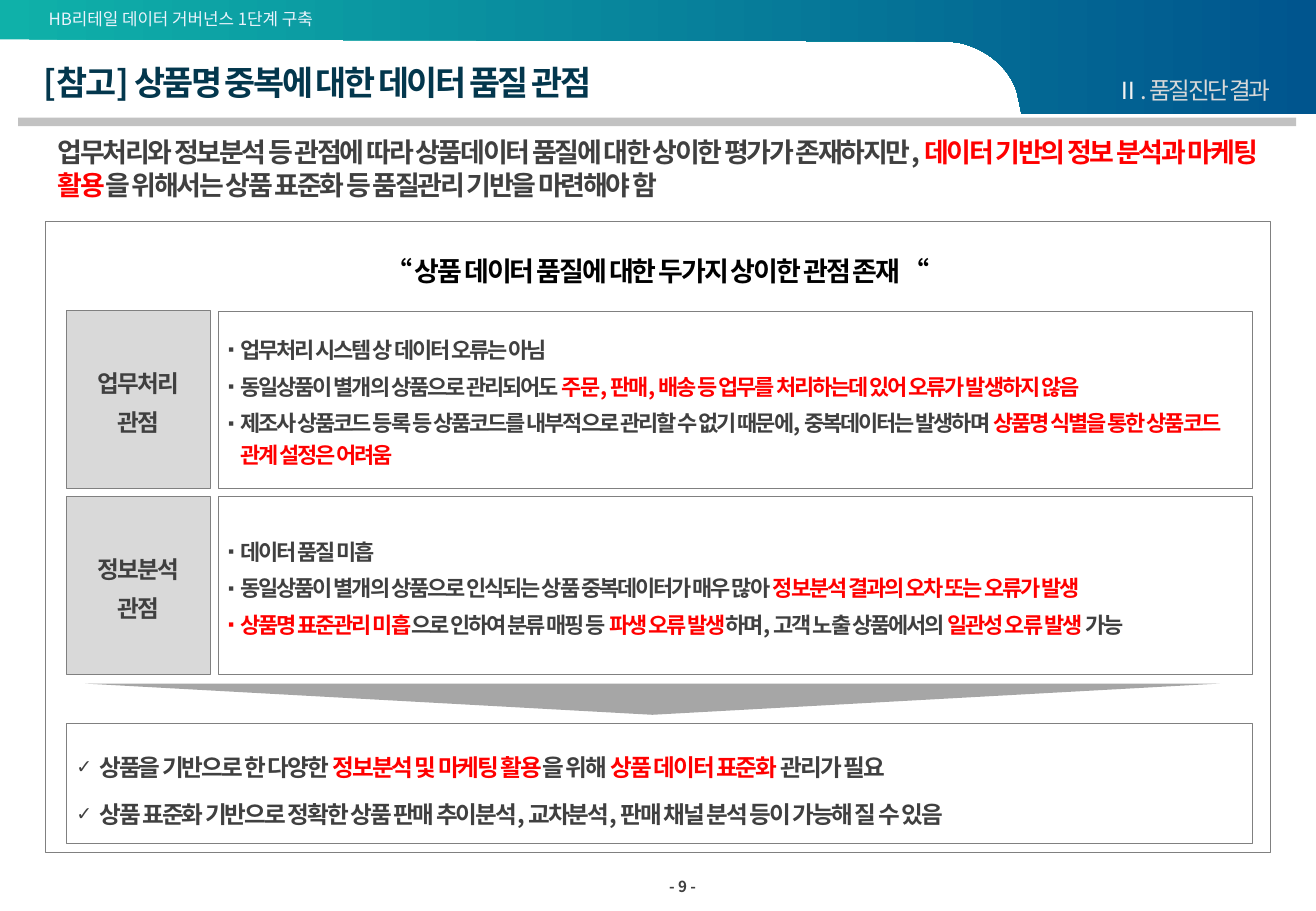
import pptx
import pptx.util
import pptx.dml.color
import pptx.enum.shapes
import pptx.enum.text
import pptx.oxml.ns
from lxml import etree

Pt = pptx.util.Pt
ALIGN = pptx.enum.text.PP_ALIGN
ANCHOR = pptx.enum.text.MSO_ANCHOR
SHAPE = pptx.enum.shapes.MSO_SHAPE
FONT = "Noto Sans CJK KR"
GRAY, RED = "404040", "FF0000"


def rgb(value):
    return pptx.dml.color.RGBColor.from_string(value)


def write(box, lines, size, color=GRAY, accent=RED, bold=True, tracking=0, align=ALIGN.LEFT,
          anchor=ANCHOR.MIDDLE, insets=(5.8, 2.9), spacing=1.0, gap=0, bullet=None, indent=0):
    """Fill a box with paragraphs; text between asterisks takes the accent colour."""
    frame = box.text_frame
    frame.word_wrap = True
    frame.auto_size = pptx.enum.text.MSO_AUTO_SIZE.NONE
    frame.vertical_anchor = anchor
    frame.margin_left = frame.margin_right = Pt(insets[0])
    frame.margin_top = frame.margin_bottom = Pt(insets[1])
    for number, line in enumerate(lines):
        para = frame.add_paragraph() if number else frame.paragraphs[0]
        para.alignment = align
        para.line_spacing = spacing
        para.space_before = Pt(gap if number else 0)
        properties = para._p.get_or_add_pPr()
        if bullet:
            properties.set("marL", str(Pt(indent)))
            properties.set("indent", str(-Pt(indent)))
            for tag, name, value in (("a:buSzPct", "val", "80000"), ("a:buChar", "char", bullet)):
                etree.SubElement(properties, pptx.oxml.ns.qn(tag)).set(name, value)
        para.font.size = Pt(size)
        para.font.bold = bold
        para.font.name = FONT
        para.font.color.rgb = rgb(color)
        defaults = properties.find(pptx.oxml.ns.qn("a:defRPr"))
        defaults.set("spc", str(round(tracking * 100)))
        etree.SubElement(defaults, pptx.oxml.ns.qn("a:ea")).set("typeface", FONT)
        for part, text in enumerate(line.split("*")):
            if text:
                span = para.add_run()
                span.text = text
                if part % 2:
                    span.font.color.rgb = rgb(accent)


deck = pptx.Presentation()
deck.slide_width, deck.slide_height = Pt(780), Pt(540)
page = deck.slides.add_slide(deck.slide_layouts.get_by_name("Comparison"))
shapes = page.shapes
title, headline, business_list, conclusion, analysis_list = page.placeholders

# Header band: the curve is sampled from its four control points
curve = ((602.6, 54), (597.6, 39.6), (584.6, 28.8), (568, 25.2))
outline = [(780, 0), (780, 67.5), (605.5, 67.5)]
for step in range(17):
    t = step / 16
    weights = ((1 - t) ** 3, 3 * t * (1 - t) ** 2, 3 * t ** 2 * (1 - t), t ** 3)
    outline.append(tuple(sum(w * point[axis] for w, point in zip(weights, curve)) for axis in (0, 1)))
outline += [(560.9, 24.5), (249, 23.8), (0, 23.4)]
builder = shapes.build_freeform(0, 0)
builder.add_line_segments([(Pt(x), Pt(y)) for x, y in outline])
band = builder.convert_to_shape()
band.shadow.inherit = False
band.line.fill.background()
band.fill.gradient()
band.fill.gradient_angle = 0
for stop, (position, color) in zip(band.fill.gradient_stops, ((0, "0FB1A9"), (1, "00558E"))):
    stop.position = position
    stop.color.rgb = rgb(color)

# Rule, frame, row labels and arrow: kind, left, top, width, height, fill, line
ROW_TOPS, ROW_HEIGHT = (184.3, 294.5), 105.1
drawn = []
for kind, left, top, width, height, fill, line in (
        (SHAPE.RECTANGLE, 10.8, 69.8, 757.4, 5, "C2C2C2", None),
        (SHAPE.RECTANGLE, 27, 131, 726, 374.4, None, "808080"),
        (SHAPE.RECTANGLE, 39.4, ROW_TOPS[0], 85.3, ROW_HEIGHT, "D9D9D9", "808080"),
        (SHAPE.RECTANGLE, 39.4, ROW_TOPS[1], 85.3, ROW_HEIGHT, "D9D9D9", "808080"),
        (SHAPE.ISOSCELES_TRIANGLE, 50.4, 405.2, 672.5, 18.5, "A6A6A6", None)):
    shape = shapes.add_shape(kind, Pt(left), Pt(top), Pt(width), Pt(height))
    shape.shadow.inherit = False
    if fill:
        shape.fill.solid()
        shape.fill.fore_color.rgb = rgb(fill)
    else:
        shape.fill.background()
    if line:
        shape.line.color.rgb = rgb(line)
        shape.line.width = Pt(0.5)
    else:
        shape.line.fill.background()
    drawn.append(shape)
rule, frame_box, business_label, analysis_label, arrow = drawn
arrow.rotation = 180

# Placeholders: position and outline
for holder, left, top, width, height, outlined in (
        (title, 25.9, 39.6, 672.5, 21.6, False),
        (headline, 27, 77, 726, 45.4, False),
        (business_list, 129.4, ROW_TOPS[0], 613.2, ROW_HEIGHT, True),
        (analysis_list, 129.4, ROW_TOPS[1], 613.2, ROW_HEIGHT, True),
        (conclusion, 39.4, 428.9, 703.2, 71.2, True)):
    holder.left, holder.top, holder.width, holder.height = Pt(left), Pt(top), Pt(width), Pt(height)
    if outlined:
        holder.line.color.rgb = rgb("808080")
        holder.line.width = Pt(0.5)

# Title and headline
write(title, ["[참고] 상품명 중복에 대한 데이터 품질 관점"], 20, "03374D", tracking=-1.5,
      anchor=ANCHOR.TOP, insets=(0, 0), spacing=0.9)
write(headline, ["업무처리와 정보분석 등 관점에 따라 상품데이터 품질에 대한 상이한 평가가 존재하지만, "
                 "*데이터 기반의 정보 분석과 마케팅 활용*을 위해서는 상품 표준화 등 품질관리 기반을 마련해야 함"],
      16, tracking=-1.3, anchor=ANCHOR.TOP, insets=(7.2, 3.6))

# Running header, section name, page number and frame heading
for (left, top, width, height), text, style in (
        ((28.8, 5, 231.8, 12.2), "HB리테일 데이터 거버넌스 1단계 구축",
         dict(size=10, color="EAF3FC", bold=False, insets=(0, 0))),
        ((581, 44.6, 172.1, 17.3), "*Ⅱ*. 품질진단 결과",
         dict(size=14, color="D9D9D9", accent="F2F2F2", bold=False, tracking=-1.5,
              align=ALIGN.RIGHT, anchor=ANCHOR.BOTTOM, insets=(0, 0))),
        ((380.2, 517, 38.2, 16.6), "- 9 -", dict(size=9, align=ALIGN.RIGHT)),
        ((27, 147.6, 726, 25.2), "“ 상품 데이터 품질에 대한 두가지 상이한 관점 존재 “",
         dict(size=16, color="000000", tracking=-1.2, align=ALIGN.CENTER))):
    box = shapes.add_textbox(Pt(left), Pt(top), Pt(width), Pt(height))
    write(box, [text], **style)

# Row labels
for label, name in ((business_label, "업무처리"), (analysis_label, "정보분석")):
    write(label, [name, "관점"], 14, tracking=-1.2, align=ALIGN.CENTER, spacing=1.2, gap=3)

# Row lists
for holder, lines in (
        (business_list, [
            "업무처리 시스템 상 데이터 오류는 아님",
            "동일상품이 별개의 상품으로 관리되어도 *주문, 판매, 배송 등 업무를 처리하는데 있어 오류가 발생하지 않음*",
            "제조사 상품코드 등록 등 상품코드를 내부적으로 관리할 수 없기 때문에, 중복데이터는 발생하며 "
            "*상품명 식별을 통한 상품코드 관계 설정은 어려움*"]),
        (analysis_list, [
            "데이터 품질 미흡",
            "동일상품이 별개의 상품으로 인식되는 상품 중복데이터가 매우 많아 *정보분석 결과의 오차 또는 오류가 발생*",
            "*상품명 표준관리 미흡*으로 인하여 분류 매핑 등 *파생 오류 발생*하며, 고객 노출 상품에서의 "
            "*일관성 오류 발생 *가능"])):
    write(holder, lines, 13, tracking=-1.2, spacing=1.2, gap=3, bullet="▪", indent=7.2)

# Conclusion
write(conclusion, [
    "상품을 기반으로 한 다양한 *정보분석 및 마케팅 활용*을 위해 *상품 데이터 표준화 *관리가 필요",
    "상품 표준화 기반으로 정확한 상품 판매 추이분석, 교차분석, 판매 채널 분석 등이 가능해 질 수 있음"],
    14, tracking=-1.2, spacing=1.5, gap=3, bullet="✓", indent=13.7)

deck.save("out.pptx")
